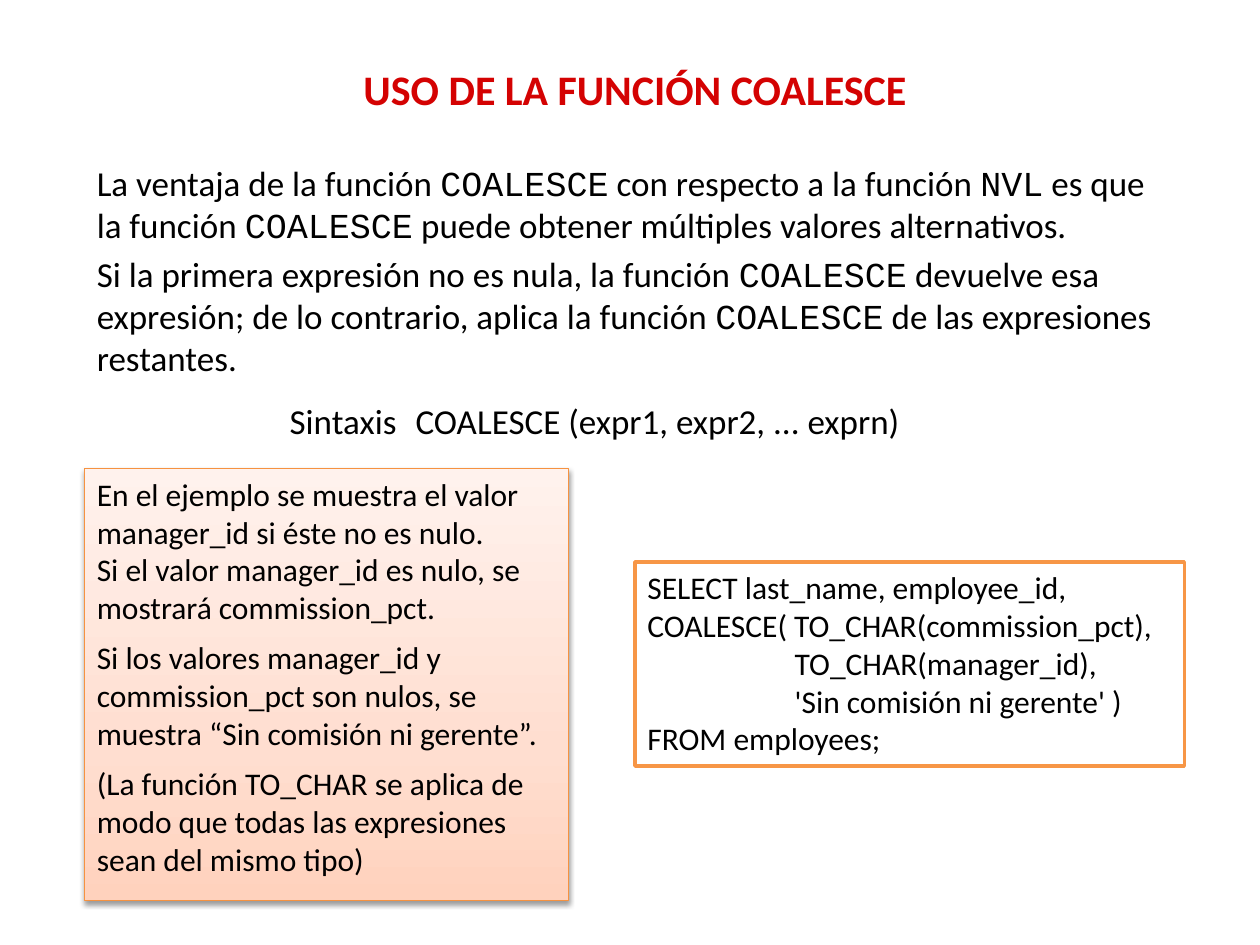
from dataclasses import dataclass

from lxml.etree import SubElement as Sub
from pptx import Presentation
from pptx.dml.color import RGBColor as Rgb
from pptx.enum.shapes import MSO_SHAPE as Shape
from pptx.enum.text import MSO_ANCHOR as Anchor, PP_ALIGN as Align
from pptx.oxml import parse_xml
from pptx.oxml.ns import nsdecls, qn
from pptx.util import Inches, Pt


@dataclass(frozen=True)
class Theme:
    sans: str = "Calibri"
    mono: str = "Courier New"
    ink: str = "000000"
    red: str = "D40202"
    paper: str = "FFFFFF"
    edge: str = "F79646"
    rim: str = "F69240"
    fade: tuple = ((0, "FFD2BD"), (35, "FFDED0"), (100, "FFF2ED"))
    head: int = 24
    body: int = 20
    note: int = 18


THEME = Theme()


def write(frame, lines, size=THEME.body, color=THEME.ink, bold=False,
          align=Align.LEFT, anchor=Anchor.TOP, gaps=None, tab=None):
    """Fill a frame; text between backticks is set in the mono font.

    gaps maps a line's index to the points before it; tab is a stop in inches.
    """
    frame.word_wrap = True
    frame.vertical_anchor = anchor
    for i, line in enumerate(lines):
        para = frame.paragraphs[0] if i == 0 else frame.add_paragraph()
        if tab:
            stops = Sub(para._p.get_or_add_pPr(), qn("a:tabLst"))
            Sub(stops, qn("a:tab"), pos=str(Inches(tab)), algn="l")
        para.alignment = align
        if gaps and i in gaps:
            para.space_before = Pt(gaps[i])
        for j, part in enumerate(line.split("`")):
            run = para.add_run()
            run.text = part
            font = run.font
            font.name = THEME.mono if j % 2 else THEME.sans
            font.size, font.bold = Pt(size), bold
            font.color.rgb = Rgb.from_string(color)


def label(slide, box, lines, **form):
    area = slide.shapes.add_textbox(*map(Inches, box))
    write(area.text_frame, lines, **form)


def panel(slide, box, line, width):
    rect = slide.shapes.add_shape(Shape.RECTANGLE, *map(Inches, box))
    rect.shadow.inherit = False
    rect.fill.solid()
    rect.fill.fore_color.rgb = Rgb.from_string(THEME.paper)
    rect.line.color.rgb = Rgb.from_string(line)
    rect.line.width = Pt(width)
    return rect


def shade(rect):
    """Give a panel the warm gradient and a soft shadow below."""
    props = rect._element.spPr
    stops = "".join(
        f'<a:gs pos="{pos * 1000}"><a:srgbClr val="{color}"/></a:gs>'
        for pos, color in THEME.fade)
    fill = parse_xml(
        f'<a:gradFill {nsdecls("a")} rotWithShape="1"><a:gsLst>{stops}</a:gsLst>'
        '<a:lin ang="16200000" scaled="0"/></a:gradFill>')
    props.replace(props.find(qn("a:solidFill")), fill)
    cast = Sub(props.find(qn("a:effectLst")), qn("a:outerShdw"),
               blurRad=str(Pt(3.1)), dist=str(Pt(1.6)), dir="5400000",
               rotWithShape="0")
    tone = Sub(cast, qn("a:srgbClr"), val=THEME.ink)
    Sub(tone, qn("a:alpha"), val="38000")


def title(slide, box):
    label(slide, box, ["USO DE LA FUNCIÓN COALESCE"], size=THEME.head,
          color=THEME.red, bold=True, align=Align.CENTER, anchor=Anchor.MIDDLE)


def intro(slide, box):
    label(slide, box, [
        "La ventaja de la función `COALESCE` con respecto a la función `NVL` "
        "es que la función `COALESCE` puede obtener múltiples valores "
        "alternativos.",
        "Si la primera expresión no es nula, la función `COALESCE` devuelve "
        "esa expresión; de lo contrario, aplica la función `COALESCE` de las "
        "expresiones restantes.",
    ], gaps={1: 4})


def syntax(slide, box):
    label(slide, box, ["Sintaxis\tCOALESCE (expr1, expr2, ... exprn)"], tab=1)


def query(slide, box):
    rect = panel(slide, box, THEME.edge, 2)
    write(rect.text_frame, [
        "SELECT last_name, employee_id,",
        "COALESCE( TO_CHAR(commission_pct),",
        "\t   TO_CHAR(manager_id),",
        "\t   'Sin comisión ni gerente' )",
        "FROM employees;",
    ], size=THEME.note, tab=1)


def notes(slide, box):
    rect = panel(slide, box, THEME.rim, 0.75)
    shade(rect)
    write(rect.text_frame, [
        "En el ejemplo se muestra el valor manager_id si éste no es nulo.",
        "Si el valor manager_id es nulo, se mostrará commission_pct.",
        "Si los valores manager_id y commission_pct son nulos, se muestra "
        "“Sin comisión ni gerente”.",
        "(La función TO_CHAR se aplica de modo que todas las expresiones "
        "sean del mismo tipo)",
    ], size=THEME.note, gaps={2: 7, 3: 7})


def main():
    deck = Presentation()
    deck.slide_width, deck.slide_height = Inches(10), Inches(7.5)
    slide = deck.slides.add_slide(deck.slide_layouts[6])

    # Heading and explanation
    title(slide, (1.03, 0.35, 8.02, 0.71))
    intro(slide, (0.67, 1.23, 8.66, 1.84))
    syntax(slide, (2.2, 3.12, 5.14, 0.44))

    # Example: query on the right, its reading on the left
    query(slide, (5.04, 4.46, 4.36, 1.62))
    notes(slide, (0.67, 3.72, 3.84, 3.43))

    deck.save("out.pptx")


if __name__ == "__main__":
    main()
